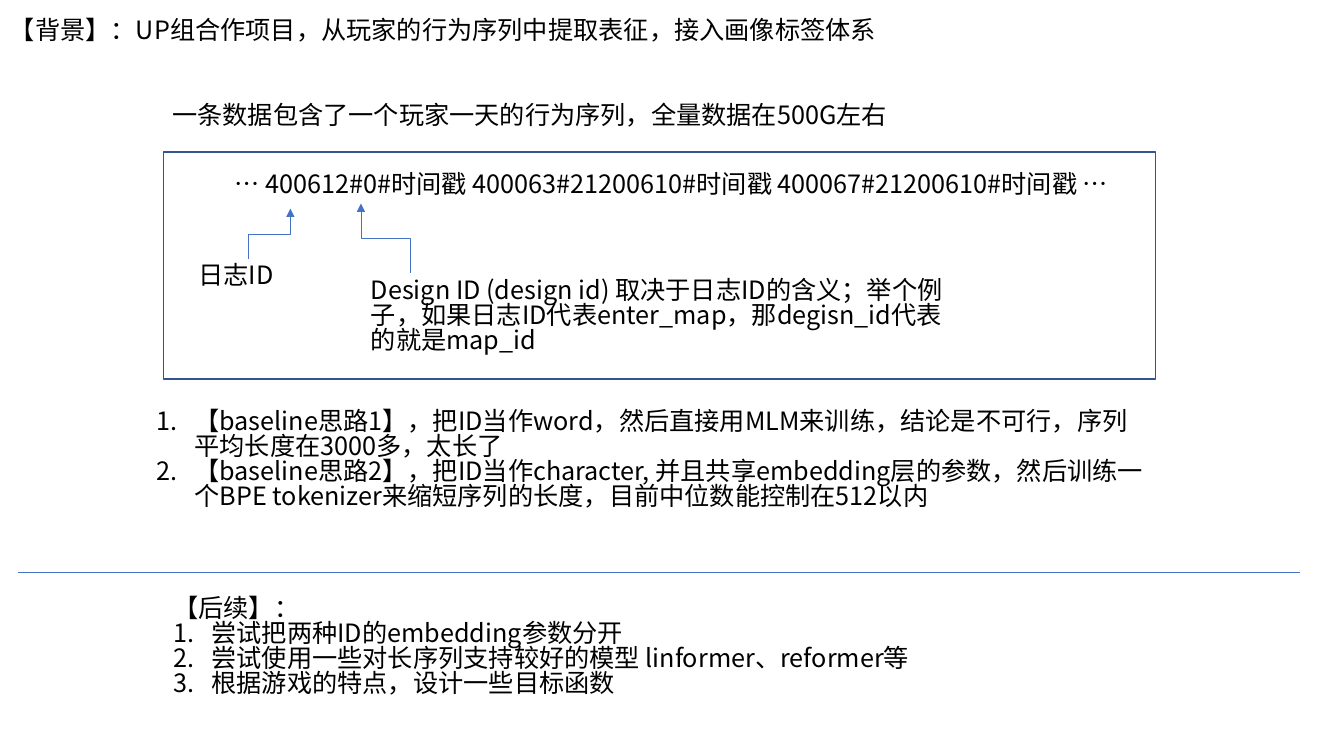
from pptx import Presentation
from pptx.util import Inches, Pt
from pptx.dml.color import RGBColor
from pptx.enum.shapes import MSO_CONNECTOR, MSO_SHAPE
from pptx.oxml.ns import qn
from lxml.etree import SubElement

COLORS = {"text": "000000", "line": "4472C4", "frame": "325491"}
FONT = "Noto Sans CJK SC"

deck = Presentation()
deck.slide_width, deck.slide_height = Inches(13.33), Inches(7.5)
slide = deck.slides.add_slide(deck.slide_layouts[6])
shapes = slide.shapes


def add_text(left, top, width, height, lines, first=None):
    """Add a text box; lines from index first on are numbered."""
    box = shapes.add_textbox(*map(Inches, (left, top, width, height)))
    frame = box.text_frame
    frame.word_wrap = True
    frame.text = "\n".join(lines)
    for i, para in enumerate(frame.paragraphs):
        para.line_spacing = 0.83
        props = para._p.get_or_add_pPr()
        if first is not None and i >= first:
            props.set("marL", str(Inches(0.38)))
            props.set("indent", str(-Inches(0.38)))
            SubElement(props, qn("a:buFont"), typeface="+mj-lt")
            SubElement(props, qn("a:buAutoNum"), type="arabicPeriod")
        for run in para.runs:
            run.font.size = Pt(18)
            run.font.name = FONT
            run.font.color.rgb = RGBColor.from_string(COLORS["text"])
            SubElement(run._r.get_or_add_rPr(), qn("a:ea"), typeface=FONT)


def add_line(kind, *ends):
    """Add a thin line without a shadow."""
    line = shapes.add_connector(kind, *map(Inches, ends))
    line.line.color.rgb = RGBColor.from_string(COLORS["line"])
    line.line.width = Pt(0.5)
    SubElement(line._element.spPr, qn("a:effectLst"))
    return line


# Background and sample record
add_text(0, 0.14, 8.99, 0.4, ["【背景】：UP组合作项目，从玩家的行为序列中提取表征，接入画像标签体系"])
add_text(1.61, 0.99, 7.81, 0.4, ["一条数据包含了一个玩家一天的行为序列，全量数据在500G左右"])

frame = shapes.add_shape(
    MSO_SHAPE.RECTANGLE, Inches(1.62), Inches(1.51), Inches(9.84), Inches(2.25))
frame.shadow.inherit = False
frame.fill.background()
frame.line.color.rgb = RGBColor.from_string(COLORS["frame"])
frame.line.width = Pt(1)

add_text(2.23, 1.67, 9.59, 0.4, [
    "… 400612#0#时间戳 400063#21200610#时间戳 400067#21200610#时间戳 …"])
add_text(1.87, 2.57, 2.55, 0.4, ["日志ID"])
add_text(3.58, 2.72, 6.08, 1.01, [
    "Design ID (design id) 取决于日志ID的含义；举个例子，"
    "如果日志ID代表enter_map，那degisn_id代表的就是map_id"])

# Elbow arrows are laid out sideways, then turned to leave upwards
for x1, y1, x2, y2 in [(2.46, 2.57, 2.88, 2.07), (4.07, 2.71, 3.58, 2.02)]:
    mid_x, mid_y, half = (x1 + x2) / 2, (y1 + y2) / 2, (y1 - y2) / 2
    arrow = add_line(MSO_CONNECTOR.ELBOW, mid_x - half, mid_y + x1 - mid_x,
                     mid_x + half, mid_y + x2 - mid_x)
    arrow._element.spPr.find(qn("a:xfrm")).set("rot", str(270 * 60000))
    SubElement(arrow.line._get_or_add_ln(), qn("a:tailEnd"), type="triangle")

# Baselines and next steps
add_text(1.45, 4.02, 10.01, 1.31, [
    "【baseline思路1】，把ID当作word，然后直接用MLM来训练，"
    "结论是不可行，序列平均长度在3000多，太长了",
    "【baseline思路2】，把ID当作character, 并且共享embedding层的参数，"
    "然后训练一个BPE tokenizer来缩短序列的长度，目前中位数能控制在512以内",
], first=0)
add_line(MSO_CONNECTOR.STRAIGHT, 0.18, 5.68, 12.89, 5.68)
add_text(1.62, 5.88, 8.53, 1.62, [
    "【后续】：",
    "尝试把两种ID的embedding参数分开",
    "尝试使用一些对长序列支持较好的模型 linformer、reformer等",
    "根据游戏的特点，设计一些目标函数",
], first=1)

deck.save("out.pptx")
